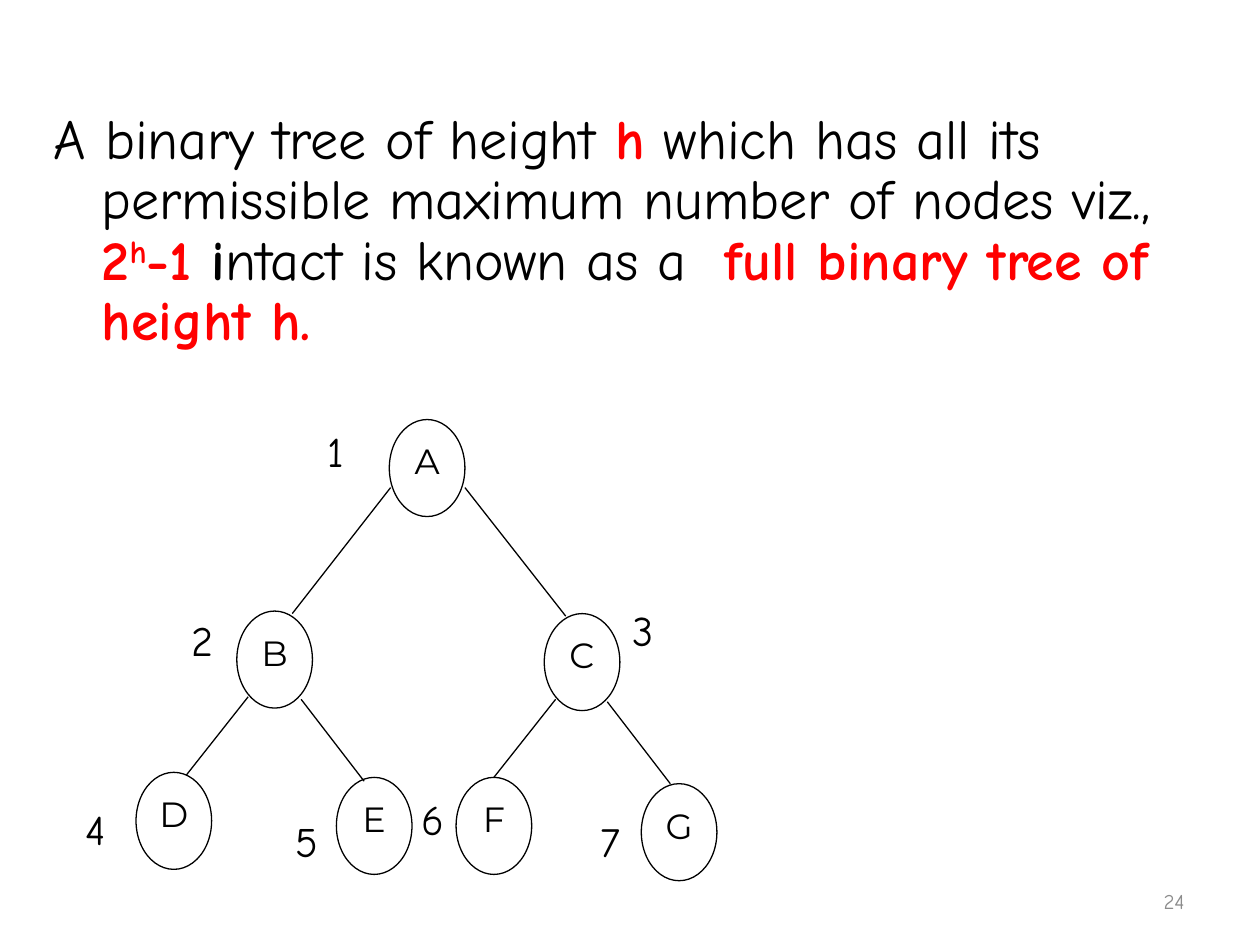
from pptx import Presentation
from pptx.dml.color import RGBColor
from pptx.enum.shapes import MSO_CONNECTOR as Connector, MSO_SHAPE as Shape
from pptx.enum.text import MSO_ANCHOR as Anchor, PP_ALIGN as Align
from pptx.oxml.ns import qn
from pptx.util import Inches, Pt
from lxml import etree

BLACK, RED, GRAY = "000000", "FF0000", "8C8C8C"
HAND, SANS = "Comic Neue", "Montserrat"
NODE_WIDTH, NODE_HEIGHT, NUMBER_SIZE = 0.6, 0.77, 0.5

DEFINITION = [
    ("A binary tree of height ", BLACK, False, 0),
    ("h", RED, True, 0),
    (" which has all its permissible maximum number of nodes viz., ", BLACK, False, 0),
    ("2", RED, True, 0),
    ("h", RED, True, 30),
    ("-1 ", RED, True, 0),
    ("i", BLACK, True, 0),
    ("ntact is known as a  ", BLACK, False, 0),
    ("full binary tree of height h.", RED, True, 0),
]
NODES = [
    ("A", (3.09, 3.33), "1", (2.5, 3.33)),
    ("B", (1.88, 4.85), "2", (1.42, 4.83)),
    ("C", (4.32, 4.87), "3", (4.92, 4.75)),
    ("D", (1.08, 6.13), "4", (0.58, 6.33)),
    ("E", (2.67, 6.17), "5", (2.25, 6.42)),
    ("F", (3.62, 6.17), "6", (3.25, 6.25)),
    ("G", (5.09, 6.22), "7", (4.67, 6.42)),
]
EDGES = [
    ((3.1, 3.87), (2.32, 4.87)),
    ((3.69, 3.87), (4.49, 4.89)),
    ((1.97, 5.53), (1.48, 6.15)),
    ((2.39, 5.55), (2.89, 6.2)),
    ((4.41, 5.55), (3.92, 6.17)),
    ((4.82, 5.57), (5.32, 6.22)),
]


def color(value):
    return RGBColor.from_string(value)


def apply(target, values):
    for name, value in values.items():
        setattr(target, name, value)


def add_run(paragraph, text, size, font, fill, bold=False):
    run = paragraph.add_run()
    run.text = text
    apply(run.font, {"size": Pt(size), "name": font, "bold": bold})
    run.font.color.rgb = color(fill)
    return run


def add_text_box(slide, *box):
    shape = slide.shapes.add_textbox(*map(Inches, box))
    shape.text_frame.word_wrap = True
    return shape.text_frame


def add_definition(slide):
    paragraph = add_text_box(slide, 0.33, 0.83, 9.33, 2.2).paragraphs[0]
    apply(paragraph, {"line_spacing": 0.9, "space_before": Pt(6.4)})
    properties = paragraph._p.get_or_add_pPr()
    properties.set("marL", str(Inches(0.38)))
    properties.set("indent", str(-Inches(0.38)))
    for text, fill, bold, raised in DEFINITION:
        run = add_run(paragraph, text, 32, HAND, fill, bold)
        if raised:
            run._r.get_or_add_rPr().set("baseline", str(raised * 1000))


def add_edge(slide, start, end):
    edge = slide.shapes.add_connector(Connector.STRAIGHT, *map(Inches, start + end))
    edge.line.color.rgb = color(BLACK)
    edge.line.width = Pt(0.75)
    etree.SubElement(edge._element.spPr, qn("a:effectLst"))


def add_node(slide, letter, corner):
    box = corner + (NODE_WIDTH, NODE_HEIGHT)
    node = slide.shapes.add_shape(Shape.OVAL, *map(Inches, box))
    node.shadow.inherit = False
    node.fill.background()
    node.line.color.rgb = color(BLACK)
    node.line.width = Pt(0.75)
    node.text_frame.vertical_anchor = Anchor.TOP
    paragraph = node.text_frame.paragraphs[0]
    paragraph.alignment = Align.CENTER
    add_run(paragraph, letter, 20, SANS, BLACK)


def add_number(slide, number, corner):
    frame = add_text_box(slide, *corner, NUMBER_SIZE, NUMBER_SIZE)
    add_run(frame.paragraphs[0], number, 24, HAND, BLACK)


def add_page_number(slide):
    frame = add_text_box(slide, 7.17, 6.95, 2.33, 0.4)
    frame.vertical_anchor = Anchor.MIDDLE
    frame.paragraphs[0].alignment = Align.RIGHT
    add_run(frame.paragraphs[0], "24", 12, HAND, GRAY)


def main():
    presentation = Presentation()
    apply(presentation, {"slide_width": Inches(10), "slide_height": Inches(7.5)})
    slide = presentation.slides.add_slide(presentation.slide_layouts[6])
    add_definition(slide)
    for start, end in EDGES:
        add_edge(slide, start, end)
    for letter, node_corner, number, number_corner in NODES:
        add_node(slide, letter, node_corner)
        add_number(slide, number, number_corner)
    add_page_number(slide)
    presentation.save("out.pptx")


if __name__ == "__main__":
    main()
